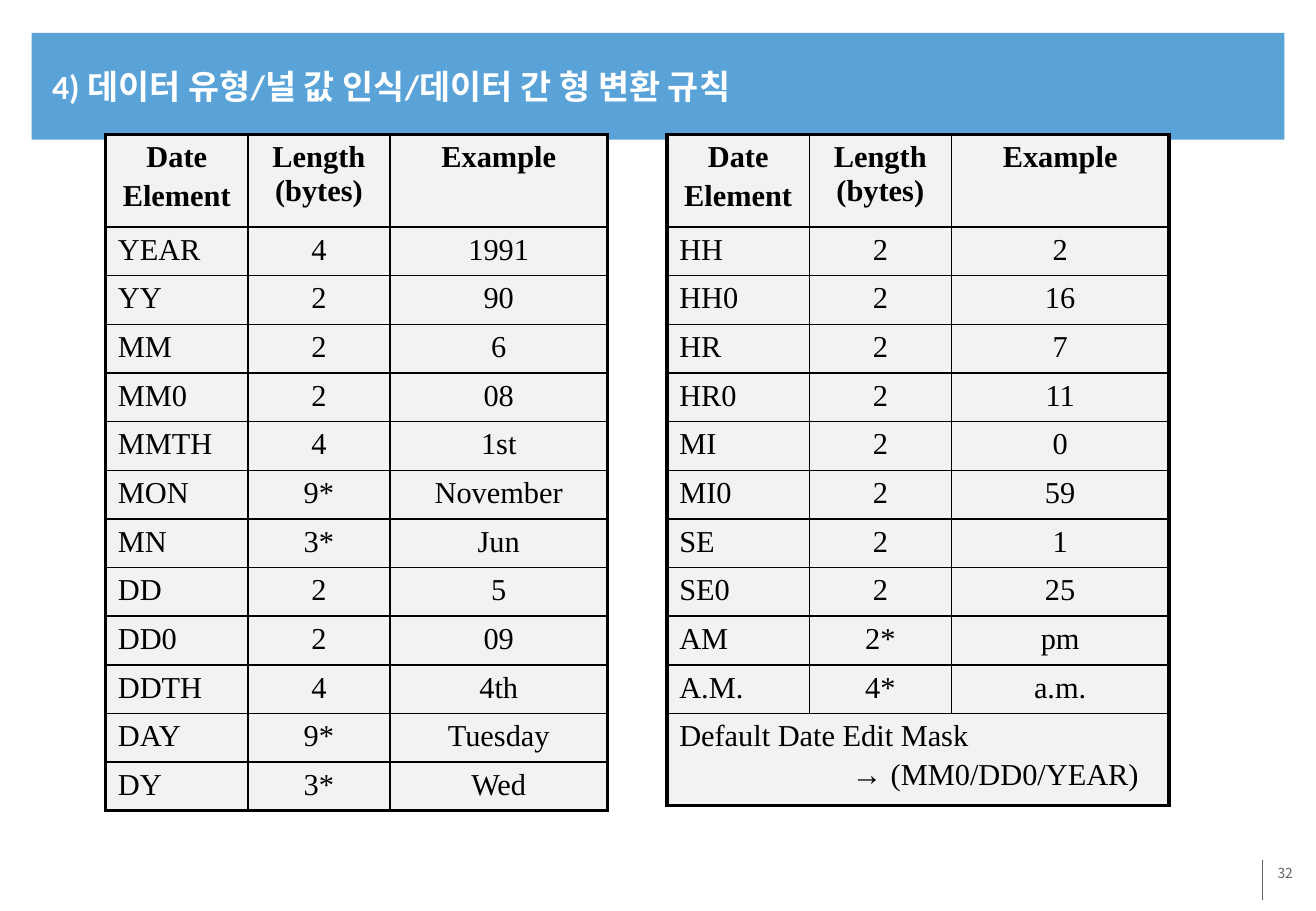
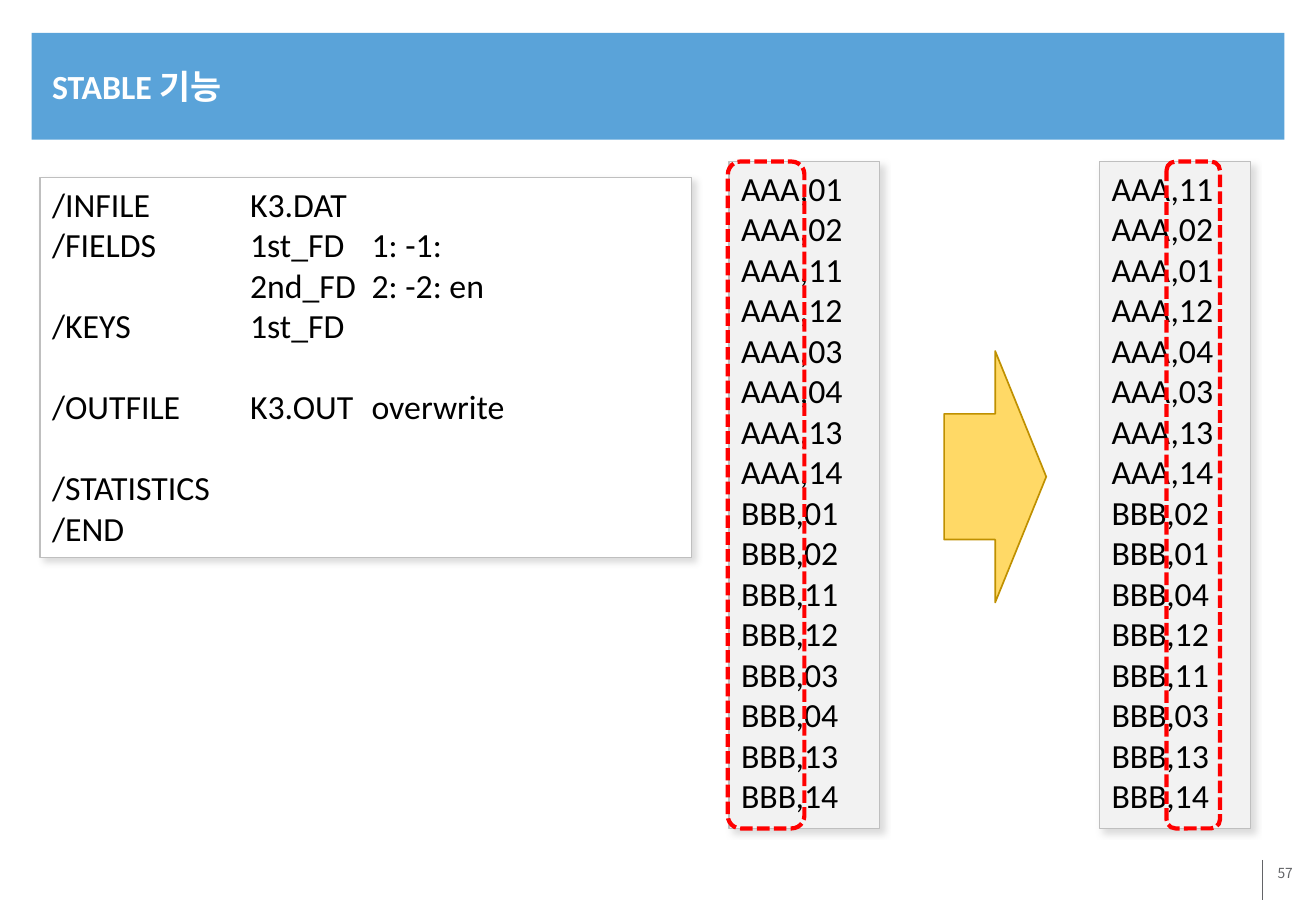
from pptx import Presentation
from pptx.dml.color import RGBColor
from pptx.enum.dml import MSO_LINE
from pptx.enum.shapes import MSO_CONNECTOR, MSO_SHAPE as SHAPE
from pptx.enum.text import MSO_ANCHOR as ANCHOR, MSO_AUTO_SIZE, PP_ALIGN as ALIGN
from pptx.oxml import parse_xml
from pptx.oxml.ns import nsdecls, qn
from pptx.util import Pt

BLUE = RGBColor(0x5A, 0xA3, 0xD9)
WHITE = RGBColor(0xFF, 0xFF, 0xFF)
BLACK = RGBColor(0, 0, 0)
PALE = RGBColor(0xF2, 0xF2, 0xF2)
SILVER = RGBColor(0xBF, 0xBF, 0xBF)
SHADOW = RGBColor(0xA6, 0xA6, 0xA6)
GRAY = RGBColor(0x63, 0x64, 0x67)
YELLOW = RGBColor(0xFF, 0xD9, 0x66)
GOLD = RGBColor(0xBF, 0x90, 0x00)
RED = RGBColor(0xFF, 0, 0)

SANS, KOREAN, SERIF = "Calibri", "Noto Sans CJK KR", "Times New Roman"
PLAIN_TABLE = "{2D5ABB26-0587-4C30-8999-92F81FD0307C}"
THICK, THIN = 2.25, 1


def px(*lengths):
    """Turn px (100 to the inch) into EMU."""
    return [length * 9144 for length in lengths]


def element(xml):
    """Build one drawing element, adding the namespace to its root tag."""
    tag, rest = xml[1:].split(" ", 1)
    return parse_xml(f"<{tag} {nsdecls('a')} {rest}")


class Deck:
    def __init__(self, width, height):
        self.file = Presentation()
        self.file.slide_width, self.file.slide_height = px(width, height)
        self.page = None

    # Page frame: band, title, number and its rule
    def new_page(self, title, number):
        self.page = self.file.slides.add_slide(self.file.slide_layouts[6])
        self.shape(SHAPE.RECTANGLE, (26, 27, 1031, 88), fill=BLUE)
        footer = self.text((888, 708, 183, 50), str(number), 8.2, GRAY, KOREAN,
                           align=ALIGN.RIGHT)
        footer.margin_left, footer.margin_right = px(7, 7)
        footer.margin_top, footer.margin_bottom = px(4, 4)
        self.rule(1039, 708, 741)
        heading = self.text((33, 31, 1020, 79), title, 20, WHITE, bold=True)
        heading.vertical_anchor = ANCHOR.MIDDLE

    def style(self, frame, size, color, font=SANS, bold=False, align=ALIGN.LEFT):
        for para in frame.paragraphs:
            para.alignment = align
            for span in para.runs:
                span.font.size, span.font.name, span.font.bold = Pt(size), font, bold
                span.font.color.rgb = color
                if font != SERIF:
                    latin = span.font._element.find(qn("a:latin"))
                    latin.addnext(element(f'<a:ea typeface="{KOREAN}"/>'))

    def text(self, at, words, size, color, font=SANS, bold=False, align=ALIGN.LEFT):
        frame = self.page.shapes.add_textbox(*px(*at)).text_frame
        frame.word_wrap = True
        frame.text = words
        self.style(frame, size, color, font, bold, align)
        return frame

    def rule(self, x, top, bottom):
        line = self.page.shapes.add_connector(MSO_CONNECTOR.STRAIGHT, *px(x, top, x, bottom))
        line.line.color.rgb, line.line.width = GRAY, Pt(0.75)
        line._element.spPr.append(element("<a:effectLst />"))

    def shape(self, kind, at, fill=None, line=None, width=0.75, dash=None):
        shape = self.page.shapes.add_shape(kind, *px(*at))
        shape.shadow.inherit = False
        if fill is None:
            shape.fill.background()
        else:
            shape.fill.solid()
            shape.fill.fore_color.rgb = fill
        if line is None:
            shape.line.fill.background()
        else:
            shape.line.color.rgb, shape.line.width = line, Pt(width)
            if dash:
                shape.line.dash_style = dash
        return shape

    # Shadowed box of 20 pt lines
    def panel(self, at, lines, fill):
        box = self.shape(SHAPE.RECTANGLE, at, fill, SILVER)
        box._element.spPr.find(qn("a:effectLst")).append(element(
            '<a:outerShdw blurRad="50800" dist="38100" dir="2700000" algn="tl" rotWithShape="0">'
            f'<a:srgbClr val="{SHADOW}"><a:alpha val="40000"/></a:srgbClr></a:outerShdw>'))
        frame = box.text_frame
        frame.word_wrap = True
        frame.vertical_anchor = ANCHOR.TOP
        frame.auto_size = MSO_AUTO_SIZE.SHAPE_TO_FIT_TEXT
        frame.text = "\n".join(lines)
        self.style(frame, 20, BLACK)
        return frame

    def tab_stops(self, para, *stops):
        tabs = "".join(f'<a:tab pos="{stop}" algn="l"/>' for stop in px(*stops))
        para._p.get_or_add_pPr().append(element(f"<a:tabLst >{tabs}</a:tabLst>"))

    def dashed_frame(self, at):
        self.shape(SHAPE.ROUNDED_RECTANGLE, at, None, RED, 2.5, MSO_LINE.SQUARE_DOT)

    # Table: a row with a single value spans all columns
    def table(self, left, top, columns, rows, heights):
        frame = self.page.shapes.add_table(
            len(rows), len(columns), *px(left, top, sum(columns), sum(heights)))
        table = frame.table
        table.first_row = table.horz_banding = False
        next(frame._element.iter(qn("a:tableStyleId"))).text = PLAIN_TABLE
        for column, width in zip(table.columns, px(*columns)):
            column.width = width
        for row, height in zip(table.rows, px(*heights)):
            row.height = height
        for r, values in enumerate(rows):
            if len(values) == 1:
                table.cell(r, 0).merge(table.cell(r, len(columns) - 1))
            for c, value in enumerate(values):
                cell = table.cell(r, c)
                self.fill_cell(cell, value, header=r == 0, centred=r == 0 or c > 0)
                self.border(cell, L=c == 0, R=c == len(values) - 1,
                            T=r == 0, B=r == len(rows) - 1)
        return table

    def fill_cell(self, cell, value, header, centred):
        cell.fill.solid()
        cell.fill.fore_color.rgb = PALE
        frame = cell.text_frame
        frame.text = value
        self.style(frame, 18, BLACK, SERIF, header, ALIGN.CENTER if centred else ALIGN.LEFT)
        for para in frame.paragraphs[1:]:
            para.space_before = Pt(3)

    def border(self, cell, **outer):
        for index, (side, is_outer) in enumerate(outer.items()):
            width = Pt(THICK if is_outer else THIN)
            cell._tc.get_or_add_tcPr().insert(index, element(
                f'<a:ln{side} w="{width}"><a:solidFill><a:srgbClr val="{BLACK}"/>'
                f'</a:solidFill></a:ln{side}>'))


HEADER = ("Date\nElement", "Length\v(bytes)", "Example")
DATE_ROWS = [
    ("YEAR", "4", "1991"), ("YY", "2", "90"), ("MM", "2", "6"), ("MM0", "2", "08"),
    ("MMTH", "4", "1st"), ("MON", "9*", "November"), ("MN", "3*", "Jun"),
    ("DD", "2", "5"), ("DD0", "2", "09"), ("DDTH", "4", "4th"),
    ("DAY", "9*", "Tuesday"), ("DY", "3*", "Wed"),
]
TIME_ROWS = [
    ("HH", "2", "2"), ("HH0", "2", "16"), ("HR", "2", "7"), ("HR0", "2", "11"),
    ("MI", "2", "0"), ("MI0", "2", "59"), ("SE", "2", "1"), ("SE0", "2", "25"),
    ("AM", "2*", "pm"), ("A.M.", "4*", "a.m."),
    ("Default Date Edit Mask\n→\t(MM0/DD0/YEAR)",),
]
SCRIPT = [
    "/INFILE\tK3.DAT",
    "/FIELDS\t1st_FD\t1: -1:",
    "\t2nd_FD\t2: -2: en",
    "/KEYS\t1st_FD",
    "/OUTFILE\tK3.OUT\toverwrite",
    "/STATISTICS",
    "/END",
]
INPUT = {"AAA": "01 02 11 12 03 04 13 14", "BBB": "01 02 11 12 03 04 13 14"}
OUTPUT = {"AAA": "11 02 01 12 04 03 13 14", "BBB": "02 01 04 12 11 03 13 14"}


def date_elements(deck):
    deck.new_page("4) 데이터 유형/널 값 인식/데이터 간 형 변환 규칙", 32)
    columns = (117, 117, 179)
    tall, low = 76, 40
    deck.table(87, 111, columns, [HEADER] + DATE_ROWS, [tall] + [low] * len(DATE_ROWS))
    times = deck.table(549, 111, columns, [HEADER] + TIME_ROWS,
                       [tall] + [low] * (len(TIME_ROWS) - 1) + [tall])
    # Hanging indent sets the mask off from its arrow
    mask = times.cell(len(TIME_ROWS), 0).text_frame.paragraphs[1]
    margin, indent = px(174, -32)
    mask._p.pPr.set("marL", str(margin))
    mask._p.pPr.set("indent", str(indent))


def stable_sort(deck):
    deck.new_page("STABLE 기능", 57)
    script = deck.panel((33, 146, 536, 313), SCRIPT, WHITE)
    for para in script.paragraphs:
        deck.tab_stops(para, 163, 263)
        if para.text.startswith(("/OUTFILE", "/STATISTICS")):
            para.space_before = Pt(24)
    # Records before and after sorting
    top, height = 133, 549
    for left, records in ((600, INPUT), (905, OUTPUT)):
        lines = [f"{key},{value}" for key, values in records.items() for value in values.split()]
        deck.panel((left, top, 124, height), lines, PALE)
    deck.shape(SHAPE.RIGHT_ARROW, (777, 289, 84, 207), YELLOW, GOLD, 1)
    for left, width in ((599, 63), (960, 44)):
        deck.dashed_frame((left, top, width, height))


def main():
    deck = Deck(1083, 750)
    date_elements(deck)
    stable_sort(deck)
    deck.file.save("out.pptx")


if __name__ == "__main__":
    main()
